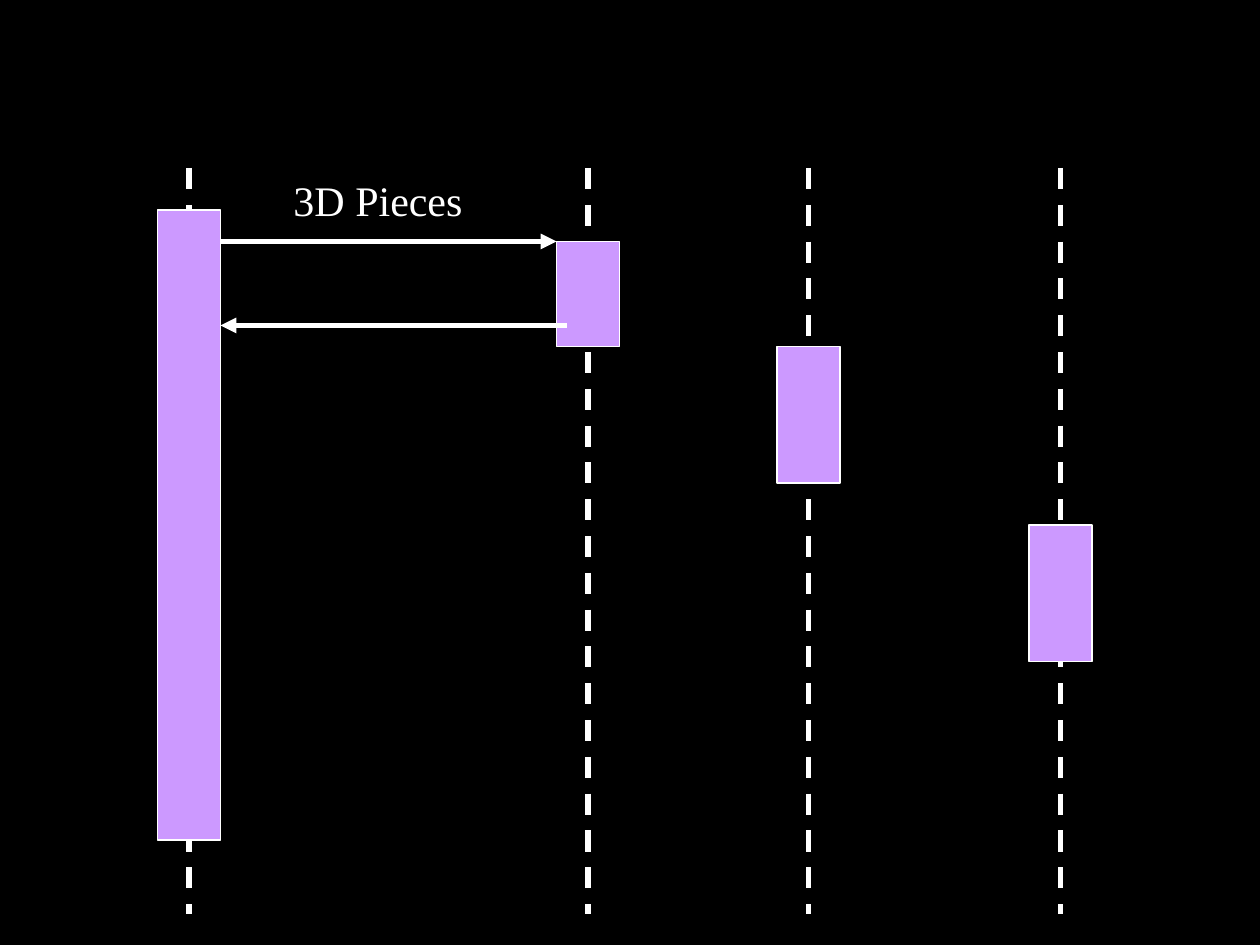
from dataclasses import dataclass

from lxml.etree import SubElement
from pptx import Presentation
from pptx.dml.color import RGBColor
from pptx.enum.dml import MSO_LINE
from pptx.enum.shapes import MSO_CONNECTOR, MSO_SHAPE
from pptx.enum.text import MSO_AUTO_SIZE, PP_ALIGN
from pptx.oxml.ns import qn
from pptx.util import Inches, Pt

CELL = Inches(1) // 12  # the slide is a grid of 120 columns by 90 rows


@dataclass(frozen=True)
class Theme:
    background: RGBColor = RGBColor(0x00, 0x00, 0x00)
    ink: RGBColor = RGBColor(0xFF, 0xFF, 0xFF)
    activation: RGBColor = RGBColor(0xCC, 0x99, 0xFF)
    font: str = "Times New Roman"
    label_size: Pt = Pt(24)
    label_space: Pt = Pt(3.6)
    stroke: Pt = Pt(3)
    outline: Pt = Pt(0.75)


@dataclass(frozen=True)
class Box:
    """Region of the slide, in grid columns and rows."""
    left: int
    top: int
    width: int
    height: int

    def point(self, column, row):
        return (self.left + column) * CELL, (self.top + row) * CELL


THEME = Theme()
DIAGRAM = Box(left=15, top=16, width=89, height=71)
BAR_WIDTH = 6

# Lifeline column, then first row and row count of its activation bar
PARTICIPANTS = [(3, 4, 60), (41, 7, 10), (62, 17, 13), (86, 34, 13)]
# Start column, end column and row
MESSAGES = [(6, 38, 7), (39, 6, 15)]


def add_line(slide, start, end):
    line = slide.shapes.add_connector(MSO_CONNECTOR.STRAIGHT, *start, *end)
    line.line.color.rgb = THEME.ink
    line.line.width = THEME.stroke
    return line


def remove_shadow(connector):
    SubElement(connector._element.spPr, qn("a:effectLst"))


def add_participant(slide, box, column, first_row, rows):
    """Dashed lifeline with its activation bar centred on it."""
    lifeline = add_line(slide, box.point(column, 0), box.point(column, box.height))
    lifeline.line.dash_style = MSO_LINE.DASH
    remove_shadow(lifeline)

    bar = slide.shapes.add_shape(
        MSO_SHAPE.RECTANGLE, *box.point(column - BAR_WIDTH // 2, first_row),
        BAR_WIDTH * CELL, rows * CELL)
    bar.shadow.inherit = False
    bar.fill.solid()
    bar.fill.fore_color.rgb = THEME.activation
    bar.line.color.rgb = THEME.ink
    bar.line.width = THEME.outline


def add_message(slide, box, start_column, end_column, row):
    arrow = add_line(slide, box.point(start_column, row), box.point(end_column, row))
    SubElement(arrow.line._get_or_add_ln(), qn("a:tailEnd"), type="triangle")
    remove_shadow(arrow)


def add_message_label(slide, box, wording):
    label = slide.shapes.add_textbox(
        *box.point(0, 0), box.width * CELL, box.height * CELL)
    frame = label.text_frame
    frame.word_wrap = True
    frame.auto_size = MSO_AUTO_SIZE.SHAPE_TO_FIT_TEXT
    paragraph = frame.paragraphs[0]
    paragraph.text = wording
    paragraph.alignment = PP_ALIGN.CENTER
    paragraph.space_before = THEME.label_space
    paragraph.font.name = THEME.font
    paragraph.font.size = THEME.label_size
    paragraph.font.color.rgb = THEME.ink


def add_sequence_diagram(slide, box):
    for participant in PARTICIPANTS:
        add_participant(slide, box, *participant)
    for message in MESSAGES:
        add_message(slide, box, *message)
    add_message_label(slide, Box(box.left + 9, box.top, 24, 6), "3D Pieces")


def main():
    deck = Presentation()
    deck.slide_width, deck.slide_height = 120 * CELL, 90 * CELL
    slide = deck.slides.add_slide(deck.slide_layouts[6])
    slide.background.fill.solid()
    slide.background.fill.fore_color.rgb = THEME.background
    add_sequence_diagram(slide, DIAGRAM)
    deck.save("out.pptx")


if __name__ == "__main__":
    main()
